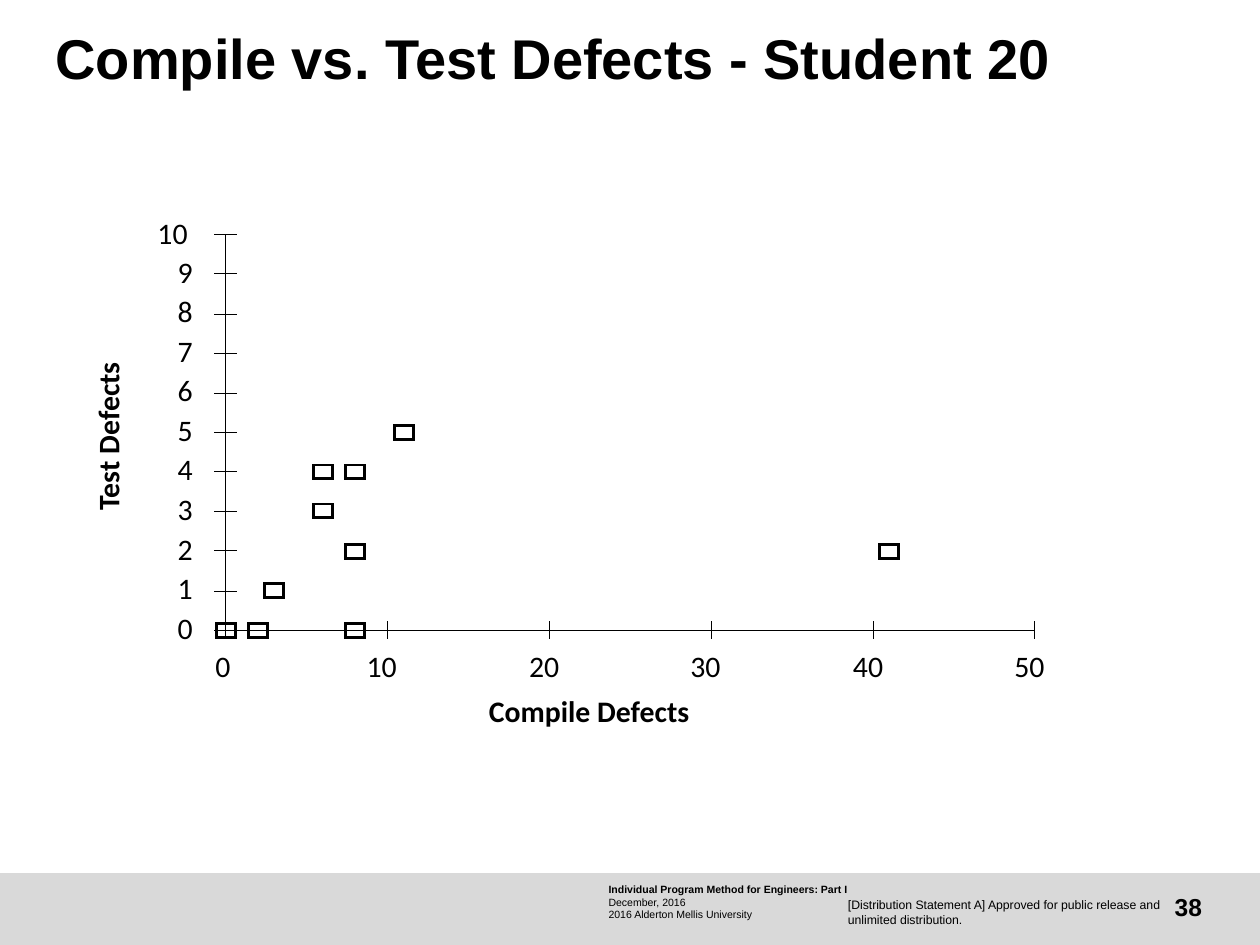
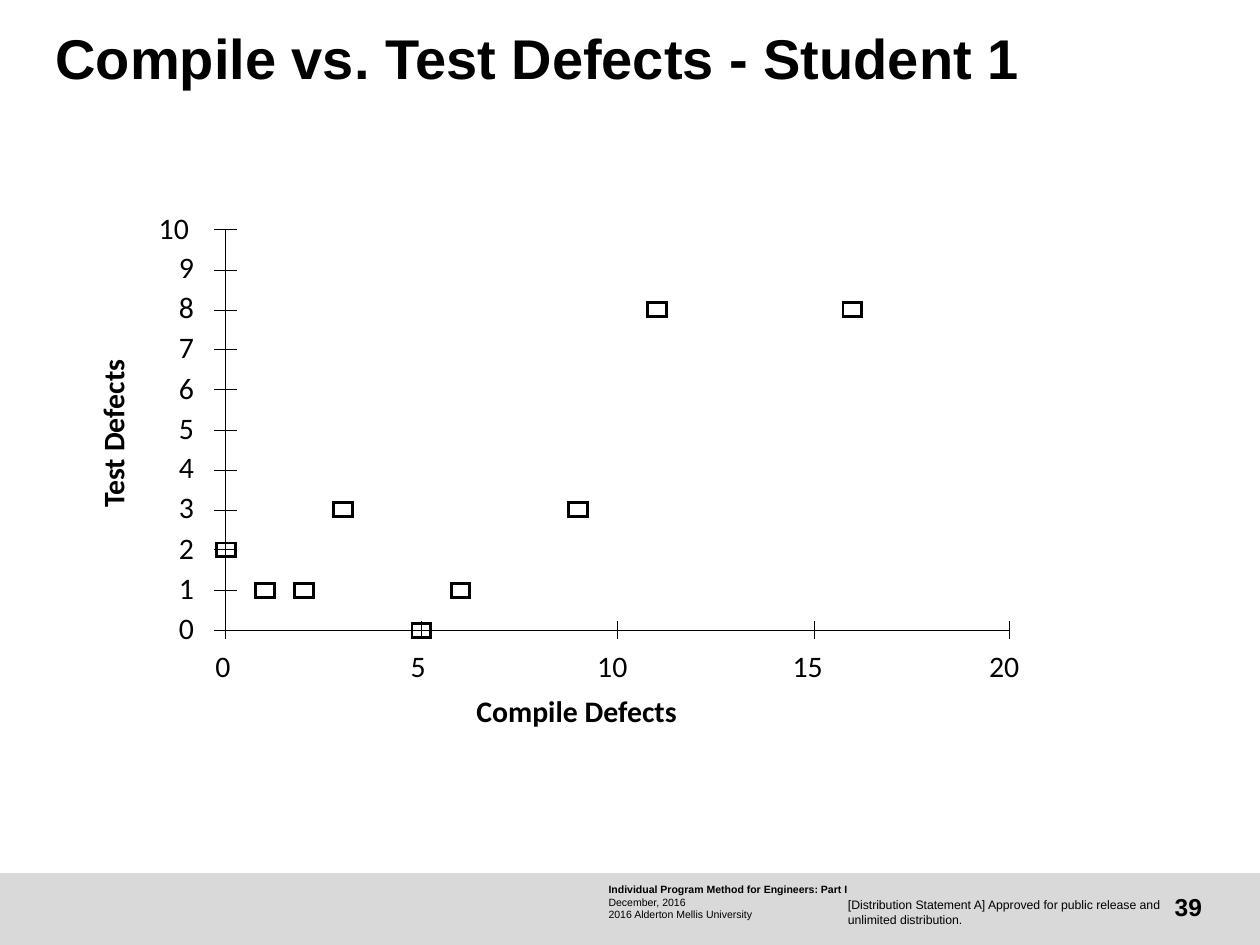
from dataclasses import dataclass

from lxml import etree
from pptx import Presentation
from pptx.dml.color import RGBColor
from pptx.enum.shapes import MSO_CONNECTOR as CONN, MSO_SHAPE as SHAPE
from pptx.enum.text import MSO_ANCHOR as ANCHOR, MSO_AUTO_SIZE as AUTO, PP_ALIGN as ALIGN
from pptx.oxml.ns import qn
from pptx.util import Inches, Pt


@dataclass(frozen=True)
class Theme:
    ink: RGBColor = RGBColor(0, 0, 0)
    band: RGBColor = RGBColor(0xD9, 0xD9, 0xD9)
    body: str = "Arial"
    plot: str = "Calibri"
    title_size: float = 32
    plot_size: float = 17
    number_size: float = 14
    notice_size: float = 7
    course_size: float = 6
    marker_line: float = 1.63
    axis_line: float = 0.1


@dataclass(frozen=True)
class Scatter:
    """Axis ranges, page places in inches, and (compile, test) defect pairs."""
    student: int
    page: int
    x_max: int
    x_step: int
    right: float
    top: float
    y_label_left: float
    y_title_left: float
    points: tuple


THEME = Theme()
WIDTH, HEIGHT = 10, 7.5
TITLE_ONLY = 5
ORIGIN_X, ORIGIN_Y = 1.79, 5.0
Y_MAX = 10
TICK_X, TICK_Y = 0.09, 0.07
MARK_W, MARK_H = 0.15, 0.11
DIGIT_W, LABEL_H = 0.13, 0.25

PLOTS = (
    Scatter(20, 38, 50, 10, 8.21, 1.86, 1.41, 0.17,
            ((8, 2), (3, 1), (41, 2), (8, 4), (8, 0),
             (11, 5), (6, 4), (2, 0), (6, 3), (0, 0))),
    Scatter(1, 39, 20, 5, 8.01, 1.82, 1.42, 0.21,
            ((16, 8), (0, 2), (11, 8), (9, 3), (6, 1),
             (3, 3), (1, 1), (5, 0), (2, 1))),
)


def inches(*lengths):
    return [Inches(round(n, 2)) for n in lengths]


def set_frame(tf, right=0, **formats):
    defaults = dict(margin_left=0, margin_top=0, margin_bottom=0,
                    margin_right=Inches(right), word_wrap=True,
                    vertical_anchor=ANCHOR.TOP, auto_size=AUTO.NONE)
    for name, value in {**defaults, **formats}.items():
        setattr(tf, name, value)


def write(p, text, size, font=THEME.body, bold=False, align=ALIGN.LEFT, spacing=None):
    p.alignment, p.line_spacing = align, spacing
    r = p.add_run()
    r.text = text
    for name, value in dict(name=font, size=Pt(size), bold=bold).items():
        setattr(r.font, name, value)
    r.font.color.rgb = THEME.ink


def add_text(shapes, box, text, size, right=0, frame=None, **style):
    sp = shapes.add_textbox(*inches(*box))
    set_frame(sp.text_frame, right, **(frame or {}))
    write(sp.text_frame.paragraphs[0], text, size, **style)
    return sp


def add_plot_text(shapes, box, text, bold=False):
    return add_text(shapes, box, text, THEME.plot_size, font=THEME.plot,
                    bold=bold, spacing=0.87,
                    frame=dict(word_wrap=False, auto_size=AUTO.SHAPE_TO_FIT_TEXT))


def add_line(shapes, *ends):
    line = shapes.add_connector(CONN.STRAIGHT, *inches(*ends))
    line.line.color.rgb = THEME.ink
    line.line.width = Pt(THEME.axis_line)
    etree.SubElement(line._element.spPr, qn("a:effectLst"))


def add_rect(shapes, box, fill=None, line_width=None):
    sp = shapes.add_shape(SHAPE.RECTANGLE, *inches(*box))
    sp.shadow.inherit = False
    if fill is None:
        sp.fill.background()
    else:
        sp.fill.solid()
        sp.fill.fore_color.rgb = fill
    if line_width is None:
        sp.line.fill.background()
    else:
        sp.line.color.rgb = THEME.ink
        sp.line.width = Pt(line_width)
        etree.SubElement(sp._element.spPr.find(qn("a:ln")), qn("a:miter"), lim="800000")
    return sp


def build_footer(slide, layout):
    """Draw the footer on a slide, then move it to the layout all slides share."""
    for ph in list(layout.placeholders)[1:]:
        ph._element.getparent().remove(ph._element)
    shapes = slide.shapes
    band_h = 0.57
    band = add_rect(shapes, (0, HEIGHT - band_h, WIDTH, band_h), THEME.band)
    course = add_text(shapes, (4.83, 7.01, 2.21, 0.3),
                      "Individual Program Method for Engineers: Part I",
                      THEME.course_size, right=0.05, bold=True)
    for text in ("December, 2016", "2016 Alderton Mellis University"):
        write(course.text_frame.add_paragraph(), text, THEME.course_size)
    notice = add_text(shapes, (6.73, 7.12, 2.54, 0.24),
                      "[Distribution Statement A] Approved for public release "
                      "and unlimited distribution.", THEME.notice_size)
    for sp in (band, course, notice):
        layout.shapes._spTree.append(sp._element)


def set_title(slide, text):
    title = slide.shapes.title
    title.left, title.top, title.width, title.height = inches(0.44, 0.25, 8.31, 0.73)
    set_frame(title.text_frame)
    write(title.text_frame.paragraphs[0], text, THEME.title_size, bold=True, spacing=0.9)


def add_page_number(slide, number):
    add_text(slide.shapes, (8.98, 7, 0.56, 0.4), str(number), THEME.number_size,
             bold=True, align=ALIGN.RIGHT, frame=dict(vertical_anchor=ANCHOR.MIDDLE))


def add_scatter(slide, plot):
    shapes = slide.shapes.add_group_shape().shapes

    def x_at(value):
        return ORIGIN_X + (plot.right - ORIGIN_X) * value / plot.x_max

    def y_at(value):
        return ORIGIN_Y - (ORIGIN_Y - plot.top) * value / Y_MAX

    x_values = range(0, plot.x_max + 1, plot.x_step)
    y_values = range(Y_MAX + 1)

    add_line(shapes, ORIGIN_X, plot.top, ORIGIN_X, ORIGIN_Y)
    for y in map(y_at, y_values):
        add_line(shapes, ORIGIN_X - TICK_X, y, ORIGIN_X + TICK_X, y)
    add_line(shapes, ORIGIN_X, ORIGIN_Y, plot.right, ORIGIN_Y)
    for x in map(x_at, x_values):
        add_line(shapes, x, ORIGIN_Y + TICK_Y, x, ORIGIN_Y - TICK_Y)

    for x, y in plot.points:
        add_rect(shapes, (x_at(x) - MARK_W / 2, y_at(y) - MARK_H / 2, MARK_W, MARK_H),
                 line_width=THEME.marker_line)

    for value in y_values:
        digits = len(str(value))
        left = plot.y_label_left - 0.16 * (digits - 1)
        add_plot_text(shapes, (left, y_at(value) - LABEL_H / 2, DIGIT_W * digits, LABEL_H),
                      str(value))
    for value in x_values:
        digits = len(str(value))
        add_plot_text(shapes, (x_at(value) - 0.08 * digits, 5.18, DIGIT_W * digits, LABEL_H),
                      str(value))

    title_w = 1.85
    add_plot_text(shapes, (x_at(plot.x_max / 2) - title_w / 2 - 0.2, 5.54, title_w, LABEL_H),
                  "Compile Defects", bold=True)
    y_title = add_plot_text(shapes, (plot.y_title_left, y_at(Y_MAX / 2) - 0.21, 1.41, LABEL_H),
                            "Test Defects", bold=True)
    y_title.rotation = 270


def main():
    prs = Presentation()
    prs.slide_width, prs.slide_height = inches(WIDTH, HEIGHT)
    layout = prs.slide_layouts[TITLE_ONLY]
    slides = [prs.slides.add_slide(layout) for _ in PLOTS]
    build_footer(slides[0], layout)
    for slide, plot in zip(slides, PLOTS):
        set_title(slide, f"Compile vs. Test Defects - Student {plot.student}")
        add_scatter(slide, plot)
        add_page_number(slide, plot.page)
    prs.save("out.pptx")


if __name__ == "__main__":
    main()
